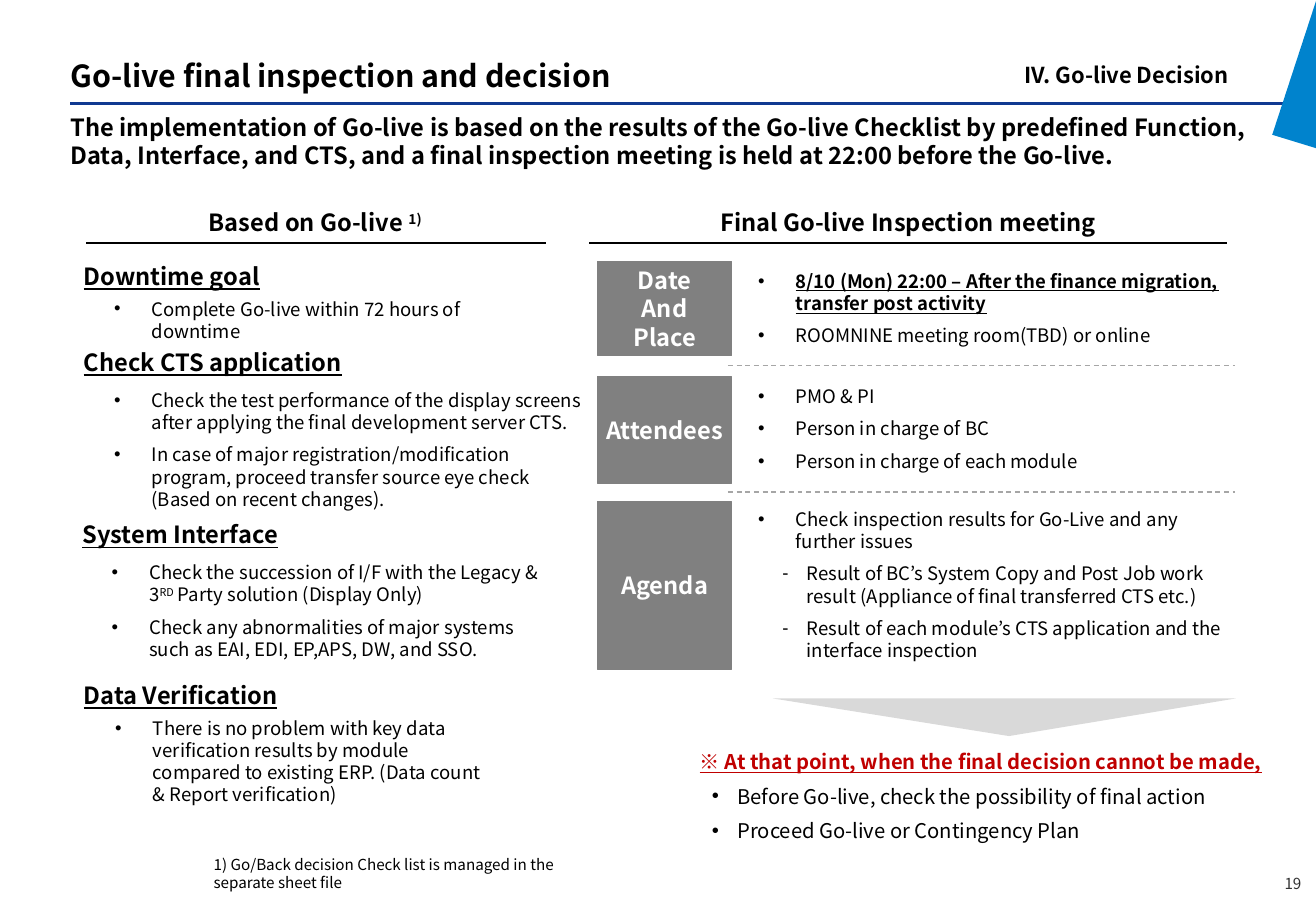
import lxml.etree
import pptx
import pptx.dml.color
import pptx.enum.dml
import pptx.enum.shapes
import pptx.enum.text
import pptx.oxml.ns
import pptx.util

FONT = "Noto Sans CJK KR"
BLACK, WHITE, GREY, RED, BLUE = "000000", "FFFFFF", "808080", "C00000", "0083CD"
ALIGN = pptx.enum.text.PP_ALIGN
ANCHOR = pptx.enum.text.MSO_ANCHOR
FIT = pptx.enum.text.MSO_AUTO_SIZE
SHAPE = pptx.enum.shapes.MSO_SHAPE
BULLET_INDENT = (3.1, 3.1)
DASH_INDENT = (4, 2)

# heading, its left and top, list box, items; "^" encloses superscript
CRITERIA = [
    ("Downtime goal", (5.9, 21.3), (8.4, 24, 33.1, 4.7),
     ["Complete Go-live within 72 hours of downtime"]),
    ("Check CTS application", (5.9, 28.4), (8.4, 31.5, 41.3, 11.1),
     ["Check the test performance of the display screens after applying the final development server CTS.",
      "In case of major registration/modification program, proceed transfer source eye check "
      "(Based on recent changes)."]),
    ("System Interface", (5.8, 42.6), (8.2, 45.7, 38.3, 9.3),
     ["Check the succession of I/F with the Legacy & 3^RD^ Party solution (Display Only)",
      "Check any abnormalities of major systems such as EAI, EDI, EP,APS, DW, and SSO."]),
    ("Data Verification", (5.9, 55.8), (8.5, 58.5, 33.1, 8.4),
     ["There is no problem with key data verification results by module compared to existing ERP. "
      "(Data count & Report verification)"]),
]
# label, top and height of the label, top and height of the list, items
MEETING = [
    ("Date\nAnd\nPlace", 21.5, 7.8, 21.7, 7.4,
     ["8/10 (Mon) 22:00 – After the finance migration, transfer post activity",
      "ROOMNINE meeting room(TBD) or online"]),
    ("Attendees", 31, 8.8, 31.2, 8.2,
     ["PMO & PI", "Person in charge of BC", "Person in charge of each module"]),
    ("Agenda", 41.3, 13.8, 41.3, 13.8,
     ["Check inspection results for Go-Live and any further issues",
      "- Result of BC’s System Copy and Post Job work result (Appliance of final transferred CTS etc.)",
      "- Result of each module’s CTS application and the interface inspection"]),
]


def grid(count):
    """Length of a number of grid columns or rows, each a tenth of an inch."""
    return pptx.util.Inches(count / 10)


def box(*counts):
    return [grid(count) for count in counts]


def color(value):
    return pptx.dml.color.RGBColor.from_string(value)


def set_bullet(paragraph, character, indent):
    properties = paragraph._p.get_or_add_pPr()
    margin, hanging = indent
    properties.set("marL", str(grid(margin)))
    properties.set("indent", str(-grid(hanging)))
    name = pptx.oxml.ns.qn
    if character:
        lxml.etree.SubElement(properties, name("a:buFont"), typeface="Arial")
        lxml.etree.SubElement(properties, name("a:buChar"), char=character)
    else:
        lxml.etree.SubElement(properties, name("a:buNone"))


def format_run(run, size, hue, bold, underline):
    font = run.font
    font.name, font.size = FONT, pptx.util.Pt(size)
    font.bold, font.underline = bold, underline
    font.color.rgb = color(hue)
    properties = run._r.get_or_add_rPr()
    lxml.etree.SubElement(properties, pptx.oxml.ns.qn("a:ea"), typeface=FONT)


def fill_paragraph(paragraph, line, size, hue, bold=False, underline=False,
                   align=ALIGN.LEFT, gap=0, bullet=None, indent=(0, 0)):
    pieces = line.split("^")
    paragraph.text = pieces[0]
    for piece in pieces[1:]:
        paragraph.add_run().text = piece
    for index, run in enumerate(paragraph.runs):
        format_run(run, size, hue, bold, underline)
        if index % 2:
            run._r.get_or_add_rPr().set("baseline", "30000")
    paragraph.alignment = align
    paragraph.space_before = paragraph.space_after = pptx.util.Pt(gap)
    set_bullet(paragraph, bullet, indent)


def set_frame(shape, anchor=ANCHOR.TOP, wrap=True, fit=FIT.NONE, inset=True):
    frame = shape.text_frame
    frame.word_wrap, frame.auto_size, frame.vertical_anchor = wrap, fit, anchor
    frame.margin_left = frame.margin_right = grid(1 if inset else 0)
    frame.margin_top = frame.margin_bottom = grid(0.5 if inset else 0)
    return frame


def fill_placeholder(placeholder, place, line, size, align=ALIGN.LEFT, **frame_options):
    placeholder.left, placeholder.top, placeholder.width, placeholder.height = box(*place)
    frame = set_frame(placeholder, **frame_options)
    fill_paragraph(frame.paragraphs[0], line, size, BLACK, bold=True, align=align)


def add_text(slide, place, line, size, hue=BLACK, frame_options=None, **style):
    frame = set_frame(slide.shapes.add_textbox(*box(*place)), **(frame_options or {}))
    fill_paragraph(frame.paragraphs[0], line, size, hue, **style)
    return frame


def add_list(frame, items, size, indent=BULLET_INDENT):
    """Append bulleted items; a leading "- " marks the second level."""
    for item in items:
        paragraph = frame.paragraphs[0] if not frame.text else frame.add_paragraph()
        if item.startswith("- "):
            paragraph.level = 1
            fill_paragraph(paragraph, item[2:], size, BLACK, gap=3, bullet="‑", indent=DASH_INDENT)
        else:
            fill_paragraph(paragraph, item, size, BLACK, gap=3, bullet="•", indent=indent)


def add_list_box(slide, place, items):
    frame = set_frame(slide.shapes.add_textbox(*box(*place)), fit=FIT.SHAPE_TO_FIT_TEXT)
    add_list(frame, items, 11)
    return frame


def add_rule(slide, left, right, row, hue, width, dashed=False):
    straight = pptx.enum.shapes.MSO_CONNECTOR.STRAIGHT
    rule = slide.shapes.add_connector(straight, *box(left, row, right, row))
    rule.line.color.rgb = color(hue)
    rule.line.width = pptx.util.Pt(width)
    if dashed:
        rule.line.dash_style = pptx.enum.dml.MSO_LINE.DASH
    lxml.etree.SubElement(rule._element.spPr, pptx.oxml.ns.qn("a:effectLst"))


def paint(shape, fill, line=None):
    shape.shadow.inherit = False
    shape.fill.solid()
    shape.fill.fore_color.rgb = color(fill)
    if line:
        shape.line.color.rgb = color(line)
        shape.line.width = pptx.util.Pt(0.75)
    else:
        shape.line.fill.background()


def add_label(slide, place, text):
    label = slide.shapes.add_shape(SHAPE.RECTANGLE, *box(*place))
    paint(label, GREY, GREY)
    frame = set_frame(label, anchor=ANCHOR.MIDDLE, wrap=False)
    frame.text = text
    for paragraph in frame.paragraphs:
        fill_paragraph(paragraph, paragraph.text, 14, WHITE, bold=True, align=ALIGN.CENTER)


def add_corner(slide, points):
    (left, top), *others = [box(*point) for point in points]
    builder = slide.shapes.build_freeform(left, top)
    builder.add_line_segments(others)
    paint(builder.convert_to_shape(), BLUE)


def add_frame_parts(slide):
    add_rule(slide, 5.8, 106.2, 8.5, "103991", 1.5)
    add_corner(slide, [(108.3, 0.1), (104.7, 11.1), (108.3, 12.2)])
    add_corner(slide, [(108.3, 0.7), (105, 11), (108.3, 12)])
    add_text(slide, (105.1, 71.7, 2, 2), "19", 9, "333333", align=ALIGN.RIGHT,
             frame_options={"anchor": ANCHOR.MIDDLE, "inset": False})
    title, message, section = slide.placeholders
    fill_placeholder(title, (5.8, 4.7, 96.2, 3), "Go-live final inspection and decision", 18, inset=False)
    fill_placeholder(message, (5.8, 9.3, 98.5, 7.9),
                     "The implementation of Go-live is based on the results of the Go-live Checklist by "
                     "predefined Function, Data, Interface, and CTS, and a final inspection meeting is held "
                     "at 22:00 before the Go-live.", 14, inset=False)
    fill_placeholder(section, (71, 2.5, 31.1, 5.2), "IV. Go-live Decision", 13,
                     align=ALIGN.RIGHT, anchor=ANCHOR.BOTTOM)


def add_column_head(slide, place, text, left, right):
    add_text(slide, place, text, 14, bold=True, align=ALIGN.CENTER,
             frame_options={"wrap": False, "fit": FIT.SHAPE_TO_FIT_TEXT})
    add_rule(slide, left, right, 20, BLACK, 0.75)


def add_criteria(slide):
    add_column_head(slide, (16, 16.6, 19.9, 3.4), "Based on Go-live ^1)", 7.1, 44.9)
    for heading, (left, top), place, items in CRITERIA:
        add_text(slide, (left, top, 20.9, 2.8), heading, 14, bold=True, underline=True,
                 frame_options={"anchor": ANCHOR.MIDDLE, "wrap": False})
        add_list_box(slide, place, items)
    add_text(slide, (16.6, 69.9, 33.1, 4),
             "1) Go/Back decision Check list is managed in the separate sheet file", 9, gap=3)


def add_meeting(slide):
    add_column_head(slide, (58.2, 16.6, 33.1, 3.4), "Final Go-live Inspection meeting", 48.5, 101)
    for label, top, height, list_top, list_height, items in MEETING:
        add_label(slide, (49.2, top, 11, height), label)
        frame = add_list_box(slide, (61.4, list_top, 40.8, list_height), items)
        if label.startswith("Date"):
            font = frame.paragraphs[0].runs[0].font
            font.bold = font.underline = True
    for row in (30.1, 40.5):
        add_rule(slide, 59.9, 101.6, row, "A6A6A6", 0.75, dashed=True)


def add_fallback(slide):
    pointer = slide.shapes.add_shape(SHAPE.ISOSCELES_TRIANGLE, *box(63.6, 57.5, 38.1, 3.1))
    pointer.rotation = 180
    pointer.adjustments[0] = 0.49
    paint(pointer, "D9D9D9")
    frame = add_text(slide, (56.6, 61.2, 49.7, 8.8),
                     "※ At that point, when the final decision cannot be made,", 12, RED,
                     bold=True, underline=True, gap=3, frame_options={"fit": FIT.SHAPE_TO_FIT_TEXT})
    add_list(frame, ["Before Go-live, check the possibility of final action",
                     "Proceed Go-live or Contingency Plan"], 12, indent=(3.1, 2.1))


def main():
    presentation = pptx.Presentation()
    presentation.slide_width, presentation.slide_height = box(108.3, 75)
    slide = presentation.slides.add_slide(presentation.slide_layouts.get_by_name("Two Content"))
    add_frame_parts(slide)
    add_criteria(slide)
    add_meeting(slide)
    add_fallback(slide)
    presentation.save("out.pptx")


if __name__ == "__main__":
    main()
